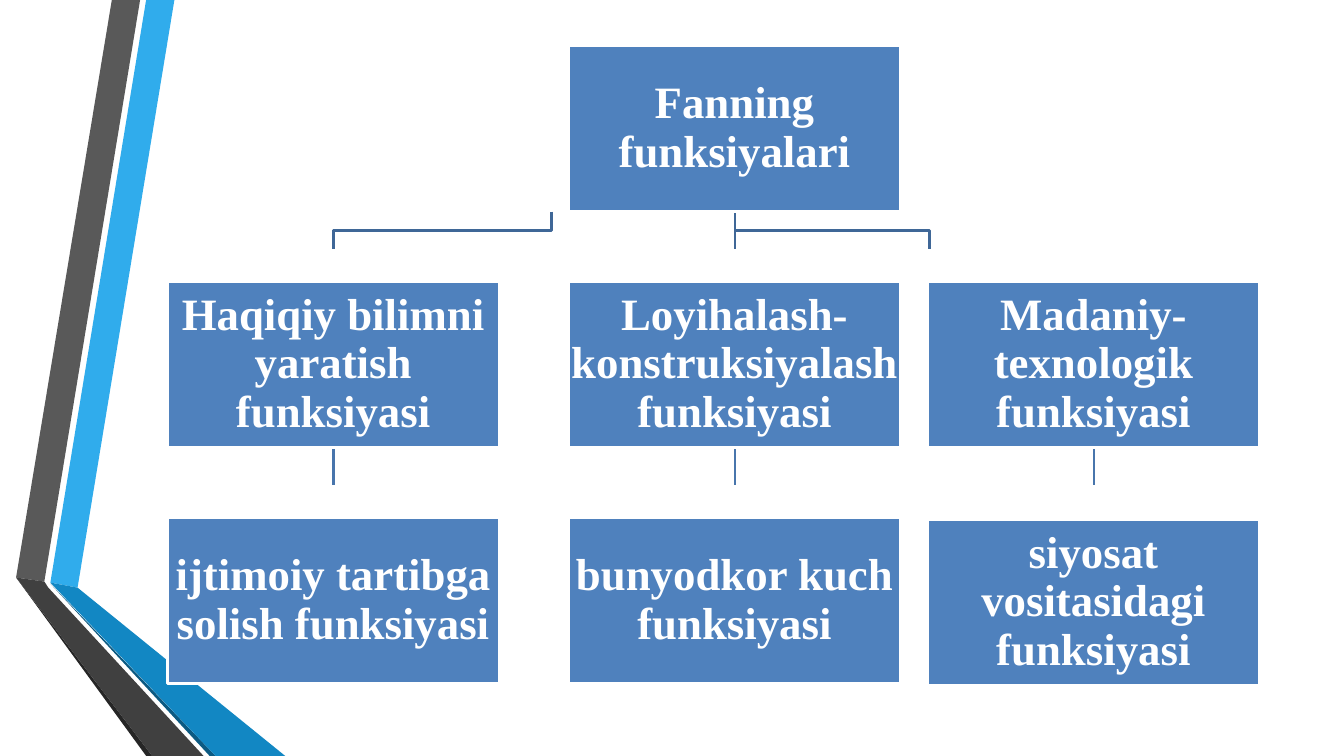
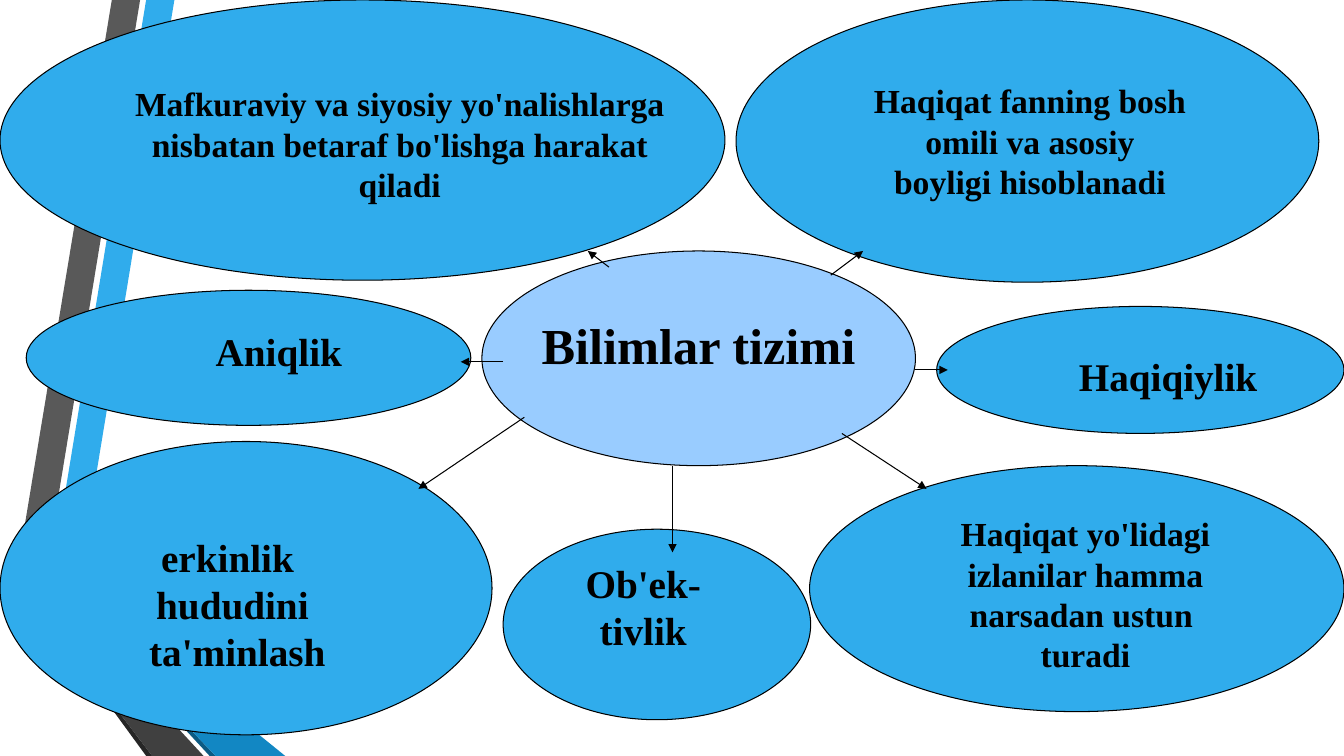
from lxml import etree
from pptx import Presentation
from pptx.dml.color import RGBColor
from pptx.enum.shapes import MSO_CONNECTOR, MSO_SHAPE
from pptx.enum.text import MSO_ANCHOR, MSO_AUTO_SIZE, PP_ALIGN
from pptx.oxml.ns import qn
from pptx.util import Pt

PX = 9144
COLORS = {
    "white": "FFFFFF", "black": "000000",
    "sky": "30ACEC", "ocean": "1287C3", "navy": "0C5A82",
    "gray": "595959", "dark": "404040", "shade": "262626",
    "box": "4F81BD", "branch": "3F6797", "stem": "4875AC", "hub": "99CCFF",
}
FONT = {"name": "Times New Roman", "bold": True}
FRAME = {"word_wrap": True, "auto_size": MSO_AUTO_SIZE.NONE,
         "vertical_anchor": MSO_ANCHOR.MIDDLE}
MARGINS = ("margin_left", "margin_top", "margin_right", "margin_bottom")

RIBBONS = [
    ("sky", [(50, 578), (77, 583), (173, 0), (145, 0)]),
    ("gray", [(139, 0), (111, 0), (16, 573), (44, 577)]),
    ("shade", [(16, 573), (145, 750), (151, 750)]),
    ("navy", [(50, 579), (208, 750), (214, 750)]),
    ("ocean", [(50, 578), (214, 750), (283, 750), (77, 583)]),
    ("dark", [(202, 750), (48, 583), (44, 577), (16, 573), (151, 750)]),
]

BOX_W, BOX_H = 329, 165
ROOT_X, ROOT_Y, MIDDLE_Y = 564, 45, 279
COLUMNS = [
    (166, 513, "Haqiqiy bilimni yaratish funksiyasi",
     "ijtimoiy tartibga solish funksiyasi"),
    (564, 513, "Loyihalash-konstruksiyalash funksiyasi",
     "bunyodkor kuch funksiyasi"),
    (920, 515, "Madaniy-texnologik funksiyasi",
     "siyosat vositasidagi funksiyasi"),
]
ELBOWS = [
    [(729, 210), (729, 229), (922, 229), (922, 247)],
    [(547, 210), (547, 229), (331, 229), (331, 247)],
]

ELLIPSES = [
    ("hub", (478, 249, 430, 213)),
    ("sky", (730, 0, 578, 280)),
    ("sky", (929, 304, 404, 126)),
    ("sky", (803, 462, 530, 244)),
    ("sky", (0, 438, 488, 291)),
    ("sky", (26, 288, 441, 134)),
    ("sky", (499, 525, 305, 189)),
    ("sky", (0, 0, 719, 278)),
]
LABELS = [
    ((415, 550, 446, 103), 28, ["Оb'еk-", "tivlik"]),
    ((37, 320, 479, 57), 28, ["Аniqlik"]),
    ((919, 344, 479, 57), 28, ["Hаqiqiylik"]),
    ((709, 74, 625, 131), 24,
     ["Hаqiqаt fаnning bоsh", " оmili vа аsоsiy ", "bоyligi hisоblаnаdi"]),
    ((772, 503, 609, 172), 24,
     ["Hаqiqаt yo'lidаgi", " izlаnilаr hаmmа ", "nаrsаdаn ustun ", "turаdi"]),
    ((100, 77, 593, 131), 24,
     ["Mаfkurаviy vа siyosiy yo'nаlishlаrgа nisbаtаn bеtаrаf "
      "bo'lishgа hаrаkаt qilаdi"]),
    ((-37, 524, 535, 150), 28, ["erkinlik ", "hududini", " tа'minlаsh"]),
]
ARROWS = [
    (520, 414, 415, 485),
    (499, 359, 457, 359),
    (667, 462, 667, 548),
    (835, 430, 919, 485),
    (908, 367, 940, 367),
    (824, 273, 856, 249),
    (604, 265, 583, 249),
]


def rgb(name):
    return RGBColor.from_string(COLORS[name])


def emu(lengths):
    return [n * PX for n in lengths]


def set_all(target, values):
    for name, value in values.items():
        setattr(target, name, value)


def paint(shape, fill=None, line=None, width=0.75):
    shape.shadow.inherit = False
    for part, color in ((shape.fill, fill), (shape.line.fill, line)):
        if color:
            part.solid()
            part.fore_color.rgb = rgb(color)
        else:
            part.background()
    if line:
        shape.line.width = Pt(width)


def write(shape, lines, size, color="black", margin=None, spacing=1.0):
    tf = shape.text_frame
    set_all(tf, FRAME)
    if margin is not None:
        set_all(tf, dict.fromkeys(MARGINS, margin * PX))
    for i, line in enumerate(lines):
        p = tf.add_paragraph() if i else tf.paragraphs[0]
        set_all(p, {"alignment": PP_ALIGN.CENTER, "line_spacing": spacing})
        r = p.add_run()
        r.text = line
        set_all(r.font, {**FONT, "size": Pt(size)})
        r.font.color.rgb = rgb(color)


def place_title(s, at):
    title = s.shapes.title
    set_all(title, dict(zip(("left", "top", "width", "height"), emu(at))))
    s.shapes.element.append(title.element)
    return title


def add_path(s, points, close):
    builder = s.shapes.build_freeform(*points[0], scale=float(PX))
    builder.add_line_segments(points[1:], close=close)
    return builder.convert_to_shape()


def add_line(s, ends, color, width, arrow=False):
    line = s.shapes.add_connector(MSO_CONNECTOR.STRAIGHT, *emu(ends))
    line.line.color.rgb = rgb(color)
    line.line.width = Pt(width)
    if arrow:
        etree.SubElement(line.line._get_or_add_ln(), qn("a:tailEnd"), type="triangle")
    etree.SubElement(line.element.spPr, qn("a:effectLst"))


def style_box(shape, text):
    paint(shape, "box", "white", 2)
    write(shape, [text], 32, "white", margin=2, spacing=0.9)


def add_box(s, x, y, text):
    sp = s.shapes.add_shape(MSO_SHAPE.RECTANGLE, *emu((x, y, BOX_W, BOX_H)))
    style_box(sp, text)


def decorate_layout(layout, s):
    for ph in list(layout.placeholders)[1:]:
        layout.shapes.element.remove(ph.element)
    for color, points in RIBBONS:
        sp = add_path(s, points, True)
        paint(sp, color)
        layout.shapes.element.append(sp.element)


def build_functions(s):
    for points in ELBOWS:
        paint(add_path(s, points, False), line="branch", width=2)
    add_line(s, (729, 210, 729, 247), "branch", 2)
    for x, bottom_y, middle, bottom in COLUMNS:
        center = x + BOX_W // 2 + 1
        add_line(s, (center, 444, center, 481), "stem", 2)
        add_box(s, x, MIDDLE_Y, middle)
        add_box(s, x, bottom_y, bottom)
    title = place_title(s, (ROOT_X, ROOT_Y, BOX_W, BOX_H))
    style_box(title, "Fanning funksiyalari")


def build_knowledge(s):
    for color, at in ELLIPSES:
        paint(s.shapes.add_shape(MSO_SHAPE.OVAL, *emu(at)), color, "black")
    write(place_title(s, (478, 308, 430, 67)), ["Bilimlar tizimi"], 36)
    for at, size, lines in LABELS:
        write(s.shapes.add_textbox(*emu(at)), lines, size)
    for ends in ARROWS:
        add_line(s, ends, "black", 0.75, arrow=True)


def main():
    prs = Presentation()
    set_all(prs, {"slide_width": 1333 * PX, "slide_height": 750 * PX})
    layout = prs.slide_layouts[5]
    functions, knowledge = (prs.slides.add_slide(layout) for _ in range(2))
    decorate_layout(layout, functions)
    build_functions(functions)
    build_knowledge(knowledge)
    prs.save("out.pptx")


if __name__ == "__main__":
    main()
